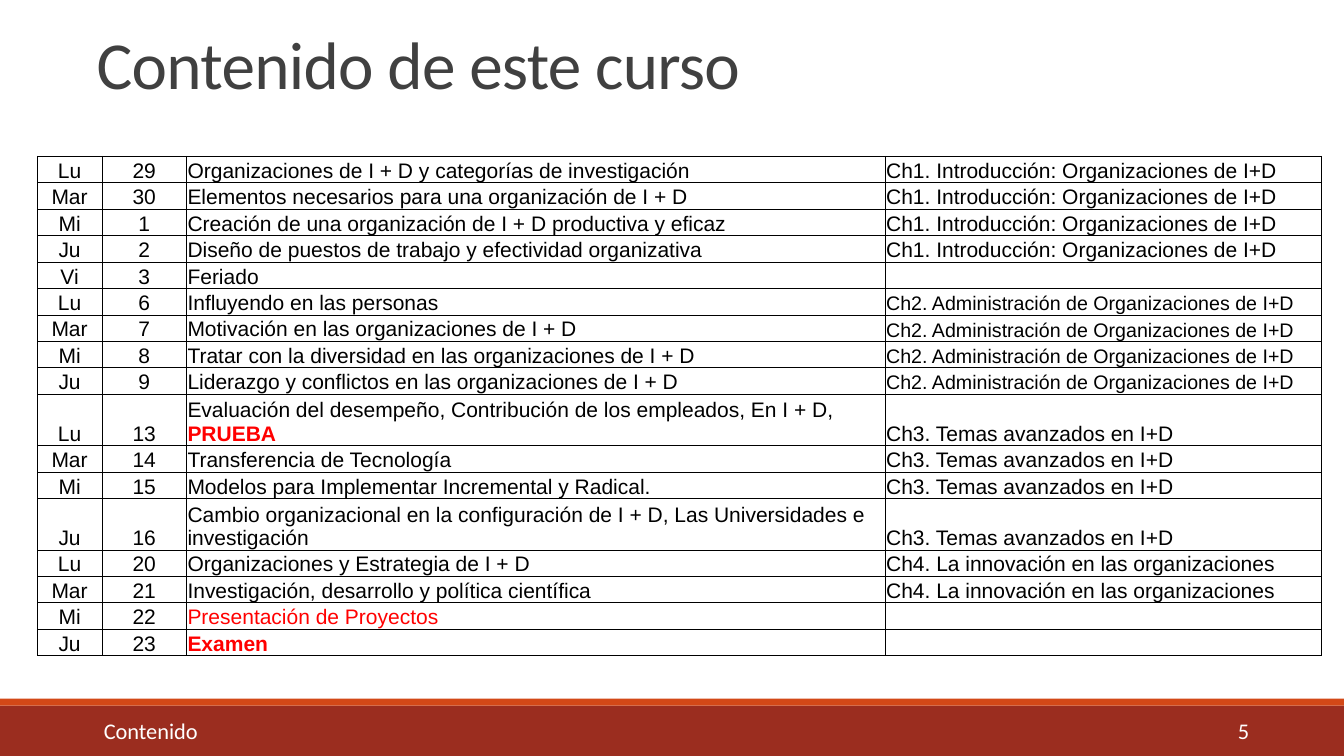
from dataclasses import dataclass
from typing import Optional

from lxml.etree import SubElement
from pptx import Presentation
from pptx.dml.color import RGBColor
from pptx.enum.shapes import MSO_SHAPE as Shape
from pptx.enum.text import MSO_ANCHOR as Anchor, PP_ALIGN as Align
from pptx.oxml.ns import qn
from pptx.util import Inches, Pt

INK, RED, WHITE, TITLE_GREY = "000000", "FF0000", "FFFFFF", "404040"
BRICK, ORANGE = "9B2D1F", "D34817"

prs = Presentation()
prs.slide_width, prs.slide_height = Inches(13.33), Inches(7.5)
s = prs.slides.add_slide(prs.slide_layouts[6])


@dataclass
class Area:
    """Place on the slide, in percent of its width and height."""
    left: float
    top: float
    width: float
    height: float

    def box(self) -> tuple:
        return across(self.left), down(self.top), across(self.width), down(self.height)


@dataclass
class Span:
    text: str
    color: str = INK
    bold: bool = False


@dataclass
class Chapter:
    name: str
    size: int = 15


@dataclass
class Session:
    day: str
    date: int
    topic: list[Span]
    chapter: Optional[Chapter] = None
    height: float = 3.5


def across(share: float) -> int:
    return int(prs.slide_width * share / 100)


def down(share: float) -> int:
    return int(prs.slide_height * share / 100)


def rgb(color: str) -> RGBColor:
    return RGBColor.from_string(color)


def add_run(p, span: Span, size: float, font: str):
    r = p.add_run()
    r.text = span.text
    r.font.name, r.font.size, r.font.bold = font, Pt(size), span.bold
    r.font.color.rgb = rgb(span.color)
    return r


def add_bar(area: Area, color: str) -> None:
    sp = s.shapes.add_shape(Shape.RECTANGLE, *area.box())
    sp.shadow.inherit = False
    sp.fill.solid()
    sp.fill.fore_color.rgb = rgb(color)
    sp.line.fill.background()


def add_text_frame(area: Area, anchor: Anchor):
    tf = s.shapes.add_textbox(*area.box()).text_frame
    tf.word_wrap, tf.vertical_anchor = True, anchor
    return tf


def add_borders(cell) -> None:
    props = cell._tc.get_or_add_tcPr()
    for side in ("a:lnL", "a:lnR", "a:lnT", "a:lnB"):
        line = SubElement(props, qn(side), w=str(Pt(0.5)))
        SubElement(SubElement(line, qn("a:solidFill")), qn("a:srgbClr"), val=INK)


def fill_cell(cell, spans: list[Span], size: int, align: Align) -> None:
    add_borders(cell)
    cell.fill.background()
    cell.vertical_anchor = Anchor.BOTTOM
    cell.margin_left = cell.margin_right = cell.margin_top = Pt(0.72)
    cell.margin_bottom = 0
    p = cell.text_frame.paragraphs[0]
    p.alignment = align
    for span in spans:
        add_run(p, span, size, "Arial")
    if not spans:  # an empty cell keeps the row's text size
        SubElement(p._p, qn("a:endParaRPr"), sz=str(size * 100))


def add_schedule(left: float, top: float, columns: list[float],
                 sessions: list[Session]) -> None:
    area = Area(left, top, sum(columns), sum(x.height for x in sessions))
    table = s.shapes.add_table(len(sessions), len(columns), *area.box()).table
    table.first_row = table.horz_banding = False
    for column, width in zip(table.columns, columns):
        column.width = across(width)
    for row, session in zip(table.rows, sessions):
        row.height = down(session.height)
        chapter = session.chapter
        contents = [
            ([Span(session.day)], 15, Align.CENTER),
            ([Span(str(session.date))], 15, Align.CENTER),
            (session.topic, 15, Align.LEFT),
            ([Span(chapter.name)] if chapter else [],
             chapter.size if chapter else 15, Align.LEFT),
        ]
        for cell, content in zip(row.cells, contents):
            fill_cell(cell, *content)


# Footer bars
add_bar(Area(0, 93.33, 100, 6.67), BRICK)
add_bar(Area(0, 92.4, 100, 0.93), ORANGE)

# Footer text, page number on a right tab
tf = add_text_frame(Area(6.3, 94.27, 87.47, 4.67), Anchor.MIDDLE)
tf.margin_left = Inches(0.19)
p = tf.paragraphs[0]
tabs = SubElement(p._p.get_or_add_pPr(), qn("a:tabLst"))
SubElement(tabs, qn("a:tab"), pos=str(Inches(11.36)), algn="r")
add_run(p, Span("Contenido\t5", WHITE), 16, "Calibri")

# Title
p = add_text_frame(Area(6.45, 3.87, 82.5, 10.67), Anchor.TOP).paragraphs[0]
p.line_spacing = 0.85
r = add_run(p, Span("Contenido de este curso", TITLE_GREY), 48, "Calibri")
r.font._element.set("spc", "-50")

# Course schedule
INTRO = Chapter("Ch1. Introducción: Organizaciones de I+D")
ADMIN = Chapter("Ch2. Administración de Organizaciones de I+D", 14)
ADVANCED = Chapter("Ch3. Temas avanzados en I+D")
INNOVATION = Chapter("Ch4. La innovación en las organizaciones")
TWO_LINES = 6.27

add_schedule(2.78, 20.67, [4.8, 6.3, 51.98, 32.48], [
    Session("Lu", 29, [Span("Organizaciones de I + D y categorías de investigación")], INTRO),
    Session("Mar", 30, [Span("Elementos necesarios para una organización de I + D")], INTRO),
    Session("Mi", 1, [Span("Creación de una organización de I + D productiva y eficaz")], INTRO),
    Session("Ju", 2, [Span("Diseño de puestos de trabajo y efectividad organizativa")], INTRO),
    Session("Vi", 3, [Span("Feriado")]),
    Session("Lu", 6, [Span("Influyendo en las personas")], ADMIN),
    Session("Mar", 7, [Span("Motivación en las organizaciones de I + D")], ADMIN),
    Session("Mi", 8, [Span("Tratar con la diversidad en las organizaciones de I + D")], ADMIN),
    Session("Ju", 9, [Span("Liderazgo y conflictos en las organizaciones de I + D")], ADMIN),
    Session("Lu", 13, [
        Span("Evaluación del desempeño, Contribución de los empleados, En I + D, "),
        Span("PRUEBA", RED, True)], ADVANCED, TWO_LINES),
    Session("Mar", 14, [Span("Transferencia de Tecnología")], ADVANCED),
    Session("Mi", 15, [Span("Modelos para Implementar Incremental y Radical.")], ADVANCED),
    Session("Ju", 16, [
        Span("Cambio organizacional en la configuración de I + D, "
             "Las Universidades e investigación")], ADVANCED, TWO_LINES),
    Session("Lu", 20, [Span("Organizaciones y Estrategia de I + D")], INNOVATION),
    Session("Mar", 21, [Span("Investigación, desarrollo y política científica")], INNOVATION),
    Session("Mi", 22, [Span("Presentación de Proyectos", RED)]),
    Session("Ju", 23, [Span("Examen", RED, True)], height=3.33),
])

prs.save("out.pptx")
